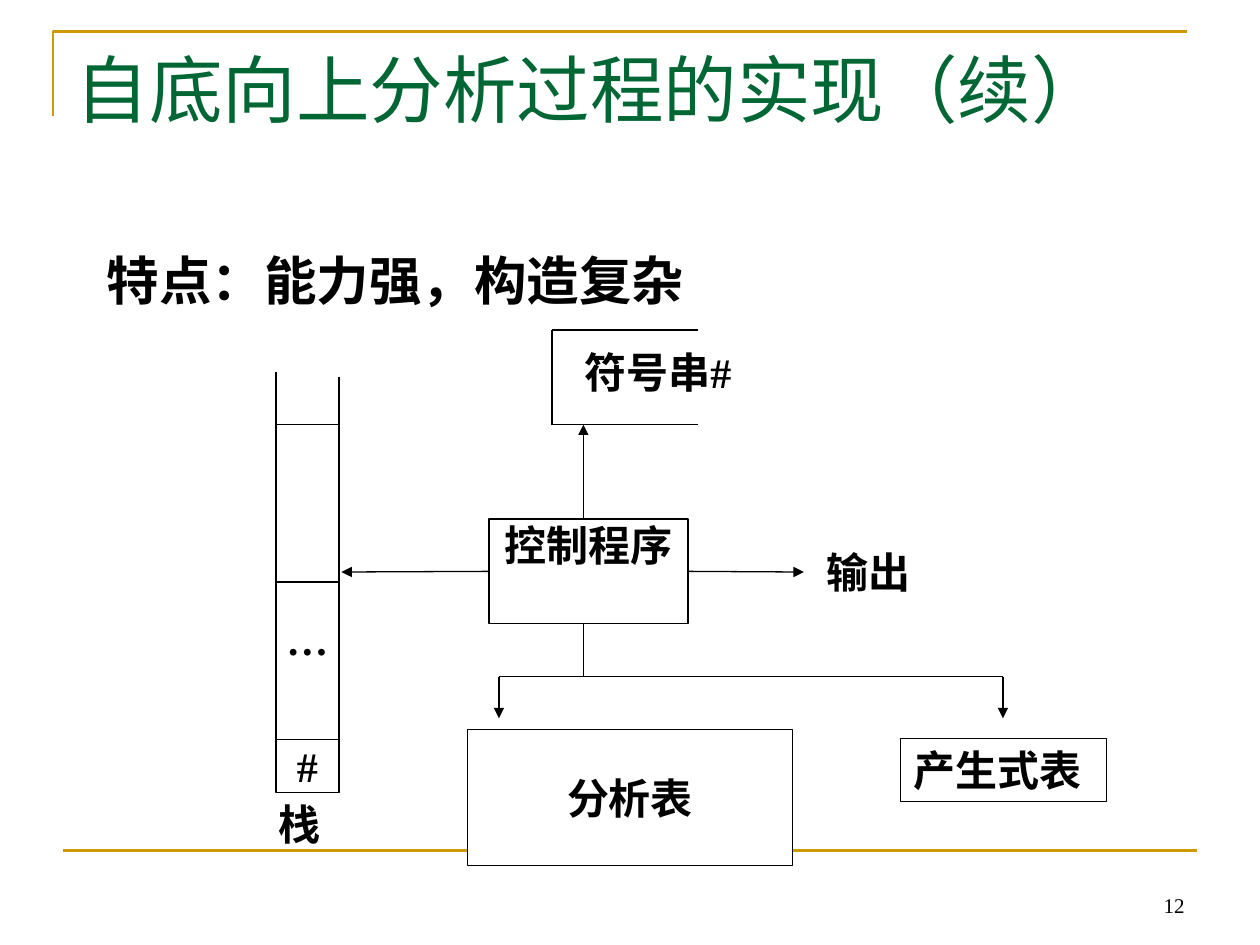
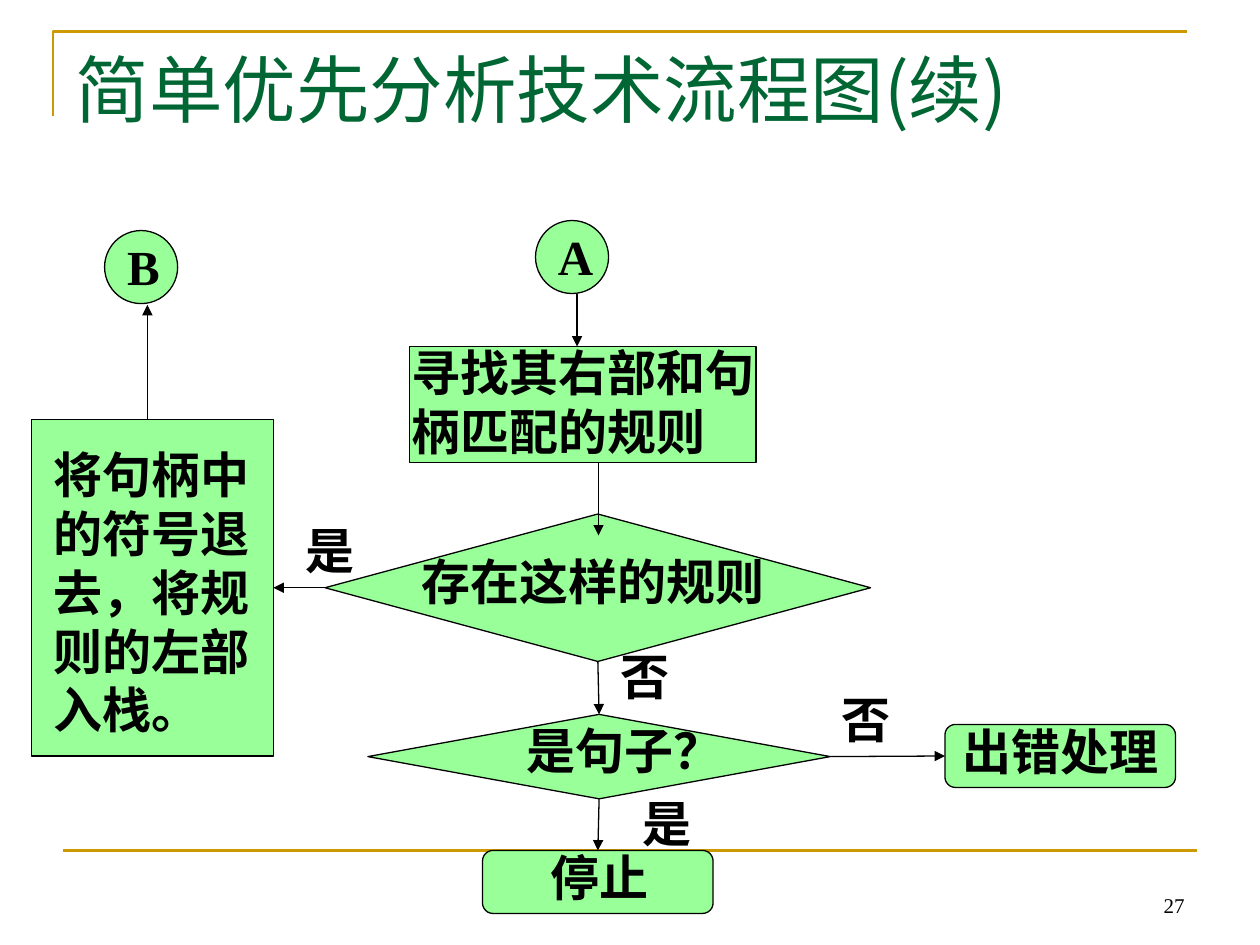
from dataclasses import dataclass

from lxml.etree import SubElement
from pptx import Presentation
from pptx.dml.color import RGBColor
from pptx.enum.shapes import MSO_CONNECTOR, MSO_SHAPE
from pptx.enum.text import MSO_ANCHOR, MSO_AUTO_SIZE, PP_ALIGN
from pptx.oxml.ns import qn
from pptx.util import Inches, Pt

TOP, LEFT, BOTTOM, RIGHT = range(4)


@dataclass(frozen=True)
class Theme:
    black: RGBColor = RGBColor(0, 0, 0)
    white: RGBColor = RGBColor(255, 255, 255)
    gold: RGBColor = RGBColor(0xCC, 0x99, 0x00)
    title_green: RGBColor = RGBColor(0x00, 0x66, 0x33)
    node_green: RGBColor = RGBColor(0x99, 0xFF, 0x99)
    serif: str = "Times New Roman"
    sans: str = "Arial"
    chinese: str = "Noto Sans CJK SC"
    title_size: int = 42
    statement_size: int = 30
    flow_size: int = 28
    diagram_size: int = 24
    number_size: int = 12
    thin: float = 0.75
    rule: float = 1.5


class Deck:
    def __init__(self, theme):
        self.theme = theme
        self.presentation = Presentation()
        self.presentation.slide_width = Inches(10)
        self.presentation.slide_height = Inches(7.5)
        self.slide = None

    def set_text(self, shape, text, size, font=None, color=None, bold=True,
                 align=PP_ALIGN.LEFT, anchor=MSO_ANCHOR.TOP, wrap=True, top_inset=0.05):
        frame = shape.text_frame
        frame.text = text
        frame.word_wrap = wrap
        frame.auto_size = MSO_AUTO_SIZE.NONE
        frame.vertical_anchor = anchor
        frame.margin_top = Inches(top_inset)
        paragraph = frame.paragraphs[0]
        paragraph.alignment = align
        for run in paragraph.runs:
            run.font.size = Pt(size)
            run.font.bold = bold
            run.font.name = font or self.theme.serif
            run.font.color.rgb = color or self.theme.black
            east_asian = SubElement(run.font._element, qn("a:ea"))
            east_asian.set("typeface", self.theme.chinese)

    def text(self, box, text, size, **style):
        shape = self.slide.shapes.add_textbox(*map(Inches, box))
        self.set_text(shape, text, size, **style)

    def shape(self, kind, box, fill):
        shape = self.slide.shapes.add_shape(kind, *map(Inches, box))
        shape.shadow.inherit = False
        shape.fill.solid()
        shape.fill.fore_color.rgb = fill
        shape.line.color.rgb = self.theme.black
        shape.line.width = Pt(self.theme.thin)
        return shape

    def box(self, box, text="", **style):
        shape = self.shape(MSO_SHAPE.RECTANGLE, box, self.theme.white)
        if text:
            self.set_text(shape, text, self.theme.diagram_size, **style)
        return shape

    def node(self, kind, box, text_box, text, align=PP_ALIGN.LEFT):
        shape = self.shape(kind, box, self.theme.node_green)
        self.text(text_box, text, self.theme.flow_size, align=align)
        return shape

    def line(self, start, end, arrow=False, color=None, width=None,
             source=None, target=None):
        connector = self.slide.shapes.add_connector(
            MSO_CONNECTOR.STRAIGHT, *map(Inches, start + end))
        connector.line.color.rgb = color or self.theme.black
        connector.line.width = Pt(width or self.theme.thin)
        properties = connector.element.spPr
        if arrow:
            SubElement(properties.find(qn("a:ln")), qn("a:tailEnd")).set("type", "triangle")
        SubElement(properties, qn("a:effectLst"))
        if source:
            connector.begin_connect(*source)
        if target:
            connector.end_connect(*target)

    def arrow(self, start, end, source=None, target=None):
        self.line(start, end, arrow=True, source=source, target=target)

    def frame(self):
        builder = self.slide.shapes.build_freeform(Inches(0.42), Inches(0.92))
        builder.add_line_segments(
            [(Inches(0.42), Inches(0.25)), (Inches(9.42), Inches(0.25))], close=False)
        corner = builder.convert_to_shape()
        corner.shadow.inherit = False
        corner.fill.background()
        corner.line.color.rgb = self.theme.gold
        corner.line.width = Pt(self.theme.rule)
        self.line((0.5, 6.75), (9.5, 6.75), color=self.theme.gold, width=self.theme.rule)

    def new_slide(self, title, number, title_height, title_font):
        self.slide = self.presentation.slides.add_slide(self.presentation.slide_layouts[5])
        self.frame()
        self.text((7.17, 6.83, 2.33, 0.5), number, self.theme.number_size, bold=False,
                  align=PP_ALIGN.RIGHT, anchor=MSO_ANCHOR.BOTTOM)
        placeholder = self.slide.shapes.title
        placeholder.left, placeholder.top = Inches(0.5), Inches(0.3)
        placeholder.width, placeholder.height = Inches(9), Inches(title_height)
        self.set_text(placeholder, title, self.theme.title_size, font=title_font,
                      color=self.theme.title_green, bold=False)


def build_analyzer_slide(deck):
    theme = deck.theme
    size = theme.diagram_size
    centred = {"align": PP_ALIGN.CENTER, "wrap": False}
    middle = {**centred, "anchor": MSO_ANCHOR.MIDDLE}
    deck.new_slide("自底向上分析过程的实现（续）", "12", 1.25, theme.serif)
    deck.text((0.75, 1.92, 8.5, 0.7), "特点：能力强，构造复杂",
              theme.statement_size, font=theme.sans)

    deck.box((7.15, 5.86, 1.63, 0.5), "产生式表")
    control = deck.box((3.88, 4.12, 1.58, 0.83), "控制程序", top_inset=0, **centred)
    deck.box((3.71, 5.79, 2.58, 1.08), "分析表", **middle)

    deck.box((2.19, 3.37, 0.5, 1.25))
    deck.box((2.19, 4.62, 0.5, 1.25), "…", top_inset=0.25, **centred)
    deck.box((2.19, 5.87, 0.5, 0.42), "#", **middle)
    deck.line((2.19, 3.37), (2.19, 2.95))
    deck.line((2.69, 3.41), (2.69, 2.99))
    deck.text((2.11, 6.29, 0.79, 0.5), "栈", size)

    for y in (2.62, 3.37):
        deck.line((4.38, y), (5.54, y))
    deck.line((4.38, 2.62), (4.38, 3.37))
    deck.text((4.54, 2.7, 1.46, 0.5), "符号串#", size)
    deck.text((6.46, 4.29, 1.17, 0.5), "输出", size)

    deck.arrow((5.46, 4.54), (6.38, 4.54), source=(control, RIGHT))
    deck.arrow((3.88, 4.54), (2.71, 4.54), source=(control, LEFT))
    deck.arrow((4.63, 4.12), (4.63, 3.37))
    deck.line((4.63, 4.95), (4.63, 5.37))
    deck.line((3.96, 5.37), (7.96, 5.37))
    for x in (3.96, 7.96):
        deck.arrow((x, 5.37), (x, 5.7))


def build_flowchart_slide(deck):
    theme = deck.theme
    circle = MSO_SHAPE.FLOWCHART_CONNECTOR
    process = MSO_SHAPE.FLOWCHART_PROCESS
    decision = MSO_SHAPE.FLOWCHART_DECISION
    terminal = MSO_SHAPE.FLOWCHART_ALTERNATE_PROCESS
    deck.new_slide("简单优先分析技术流程图(续)", "27", 0.83, theme.chinese)

    for letter, left, top in (("A", 4.25, 1.75), ("B", 0.83, 1.83)):
        deck.node(circle, (left, top, 0.58, 0.58), (left + 0.08, top, 0.75, 0.57), letter)
    deck.node(process, (3.25, 2.75, 2.75, 0.92), (3.17, 2.67, 3, 1.04),
              "寻找其右部和句柄匹配的规则")
    rule_exists = deck.node(decision, (2.58, 4.08, 4.33, 1.17),
                            (3.25, 4.33, 3.17, 0.57), "存在这样的规则")
    is_sentence = deck.node(decision, (2.92, 5.67, 3.67, 0.67),
                            (4.08, 5.67, 2.5, 0.57), "是句子？")
    error = deck.node(terminal, (7.5, 5.75, 1.83, 0.5), (7.33, 5.68, 2.17, 0.57),
                      "出错处理", PP_ALIGN.CENTER)
    stop = deck.node(terminal, (3.83, 6.75, 1.83, 0.5), (3.92, 6.68, 1.67, 0.57),
                     "停止", PP_ALIGN.CENTER)
    reduce_handle = deck.node(process, (0.25, 3.33, 1.92, 2.67), (0.33, 3.48, 2, 2.44),
                              "将句柄中的符号退去，将规则的左部入栈。")

    deck.arrow((4.58, 2.33), (4.58, 2.75))
    deck.arrow((4.75, 3.67), (4.75, 4.25))
    deck.arrow((1.17, 3.33), (1.17, 2.42))
    deck.arrow((4.75, 5.25), (4.75, 5.67), (rule_exists, BOTTOM), (is_sentence, TOP))
    deck.arrow((4.75, 6.33), (4.75, 6.75), (is_sentence, BOTTOM), (stop, TOP))
    deck.arrow((6.58, 6), (7.5, 6), (is_sentence, RIGHT), (error, LEFT))
    deck.arrow((2.58, 4.67), (2.17, 4.67), (rule_exists, LEFT), (reduce_handle, RIGHT))

    for answer, left, top in (("是", 2.33, 4.08), ("是", 5, 6.25),
                              ("否", 6.58, 5.42), ("否", 4.83, 5.08)):
        deck.text((left, top, 0.83, 0.57), answer, theme.flow_size)


def main():
    deck = Deck(Theme())
    build_analyzer_slide(deck)
    build_flowchart_slide(deck)
    deck.presentation.save("out.pptx")


if __name__ == "__main__":
    main()
